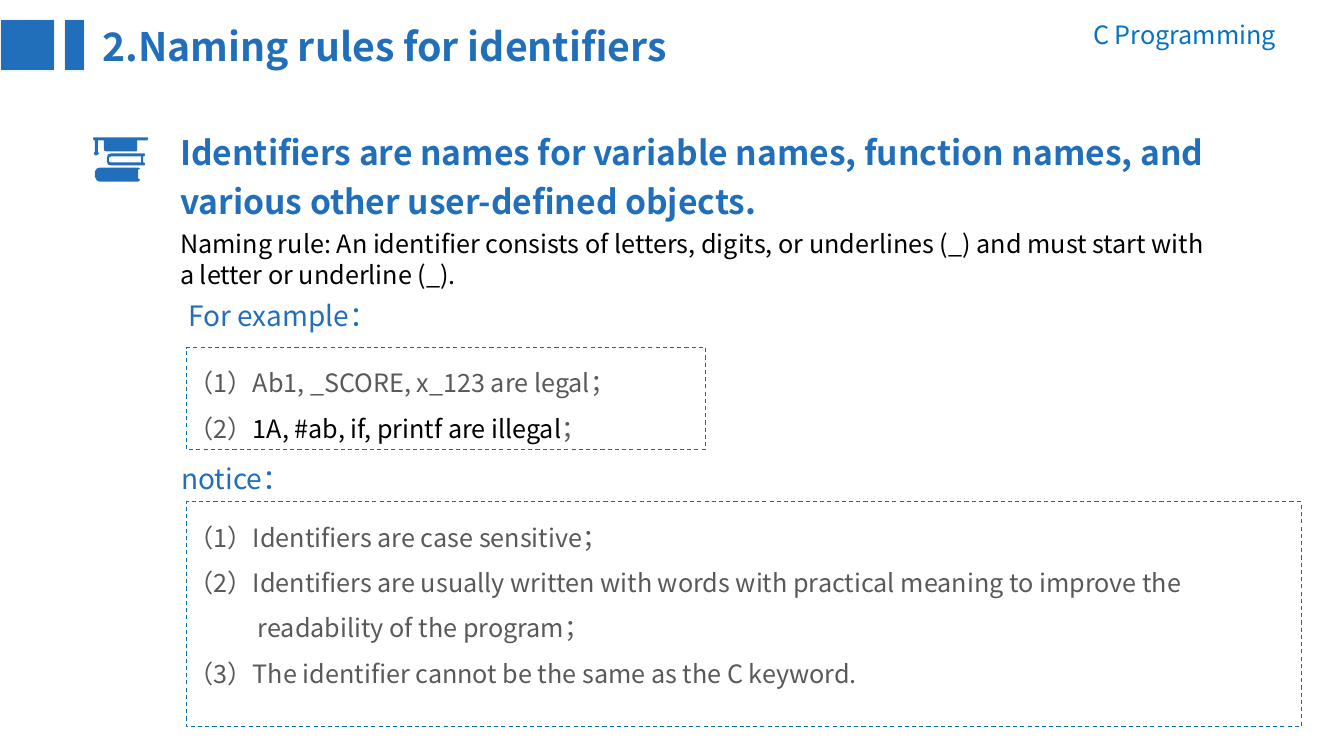
from dataclasses import dataclass

from pptx import Presentation
from pptx.dml.color import RGBColor
from pptx.enum.dml import MSO_LINE
from pptx.enum.shapes import MSO_SHAPE
from pptx.enum.text import PP_ALIGN
from pptx.util import Cm, Pt
from lxml.etree import SubElement
from pptx.oxml.ns import qn


@dataclass(frozen=True)
class Theme:
    face: str = "Noto Sans CJK SC"
    blue: str = "216FBA"
    course: str = "0573C2"
    frame: str = "076EAD"
    edge: str = "F2F2F2"
    gray: str = "595959"
    black: str = "000000"
    title: int = 28
    lead: int = 24
    label: int = 20
    body: int = 18


THEME = Theme()

# Outlines of the cap and books, in hundredths of an inch
ICON = [
    # Lower book
    [(47, 42), (45, 44), (7, 44), (4, 43), (2, 39), (2, 34), (4, 31),
     (7, 30), (45, 30), (47, 31), (45, 32), (45, 41)],
    # Upper book and its pages
    [(52, 27), (51, 28), (18, 28), (15, 27), (14, 24), (14, 20), (15, 17),
     (18, 16), (51, 16), (52, 17), (51, 19), (50, 19), (50, 25), (51, 25)],
    [(18, 25), (48, 25), (48, 19), (18, 19), (16, 20), (16, 24)],
    # Cap with tassel
    [(54, 0), (1, 0), (0, 1), (1, 3), (2, 3), (2, 14), (1, 16), (2, 18),
     (4, 18), (6, 16), (5, 14), (5, 3), (11, 3), (11, 13), (13, 14),
     (43, 14), (44, 13), (44, 3), (54, 3), (55, 1)],
]


def color(code):
    return RGBColor.from_string(code)


def write(slide, box, paras, size, tint, bold=False, space=1.0, align=None, hang=0):
    """Each paragraph is a list of (text, colour or None) runs."""
    frame = slide.shapes.add_textbox(*map(Cm, box)).text_frame
    frame.word_wrap = True
    for i, runs in enumerate(paras):
        para = frame.paragraphs[0] if i == 0 else frame.add_paragraph()
        para.line_spacing = space
        para.alignment = align
        font = para.font
        font.name, font.size, font.bold = THEME.face, Pt(size), bold
        font.color.rgb = color(tint)
        if hang:
            props = para._p.get_or_add_pPr()
            props.set("marL", str(Cm(hang)))
            props.set("indent", str(-Cm(hang)))
        for text, shade in runs:
            run = para.add_run()
            run.text = text
            if shade:
                run.font.color.rgb = color(shade)
            SubElement(run._r.get_or_add_rPr(), qn("a:ea"), typeface=THEME.face)


def block(slide, box, fill, line, width):
    rect = slide.shapes.add_shape(MSO_SHAPE.RECTANGLE, *map(Cm, box))
    rect.shadow.inherit = False
    if fill:
        rect.fill.solid()
        rect.fill.fore_color.rgb = color(fill)
    else:
        rect.fill.background()
    rect.line.color.rgb = color(line)
    rect.line.width = Pt(width)
    return rect


def header(slide, box):
    x, y, w, h = box
    for left, width in ((0, 1.37), (1.63, 0.5)):
        block(slide, (x + left, y + 0.13, width, h - 0.15), THEME.blue, THEME.edge, 1)
    write(slide, (x + 2.34, y + 0.08, 21.6, h), [[("2.Naming rules for identifiers", None)]],
          THEME.title, THEME.blue, bold=True)
    write(slide, (x + w - 7.62, y, 7.62, 1.02), [[("C Programming", None)]],
          THEME.body, THEME.course, align=PP_ALIGN.RIGHT)


def icon(slide, x, y):
    first, *rest = ICON
    pen = slide.shapes.build_freeform(*first[0], scale=Cm(0.0254))
    pen.add_line_segments(first[1:])
    for ring in rest:
        pen.move_to(*ring[0])
        pen.add_line_segments(ring[1:])
    books = pen.convert_to_shape(Cm(x), Cm(y))
    books.shadow.inherit = False
    books.fill.solid()
    books.fill.fore_color.rgb = color(THEME.blue)
    books.line.fill.background()


def intro(slide, box):
    x, y, w, h = box
    icon(slide, x, y + 0.46)
    write(slide, (x + 1.95, y, w - 1.95, 2.72),
          [[("Identifiers are names for variable names, function names, and "
             "various other user-defined objects.", None)]],
          THEME.lead, THEME.blue, bold=True, space=1.2)
    write(slide, (x + 1.95, y + 2.64, 26.75, h - 2.64),
          [[("Naming rule: An identifier consists of letters, digits, or underlines (_) "
             "and must start with a letter or underline (_).", None)]],
          THEME.body, THEME.black)


def panel(slide, box, label, spot, items):
    """Dashed frame with a numbered list, and a label placed at spot."""
    x, y, w, h = box
    write(slide, (*spot, 10.2, 1.27), [[(label, None)]],
          THEME.label, THEME.blue, space=1.2)
    block(slide, box, None, THEME.frame, 0.75).line.dash_style = MSO_LINE.DASH
    paras = [[(f"（{n}）", None), *runs] for n, runs in enumerate(items, 1)]
    write(slide, (x - 0.2, y, w - 0.15, h), paras,
          THEME.body, THEME.gray, space=1.5, hang=1.75)


def main():
    deck = Presentation()
    deck.slide_width, deck.slide_height = Cm(33.87), Cm(19.05)
    slide = deck.slides.add_slide(deck.slide_layouts[6])
    header(slide, (0, 0.36, 32.41, 1.45))
    intro(slide, (2.34, 3, 29.76, 4.44))
    panel(slide, (4.7, 8.76, 13.08, 2.57), "For example：", (4.5, 7.24), [
        [("Ab1, _SCORE, x_123 are legal；", None)],
        [("1A, #ab, if, printf are illegal", THEME.black), ("；", None)],
    ])
    panel(slide, (4.7, 12.65, 28.09, 5.66), "notice：", (4.32, 11.33), [
        [("Identifiers are case sensitive；", None)],
        [("Identifiers are usually written with words with practical meaning "
          "to improve the readability of the program；", None)],
        [("The identifier cannot be the same as the C keyword.", None)],
    ])
    deck.save("out.pptx")


if __name__ == "__main__":
    main()
